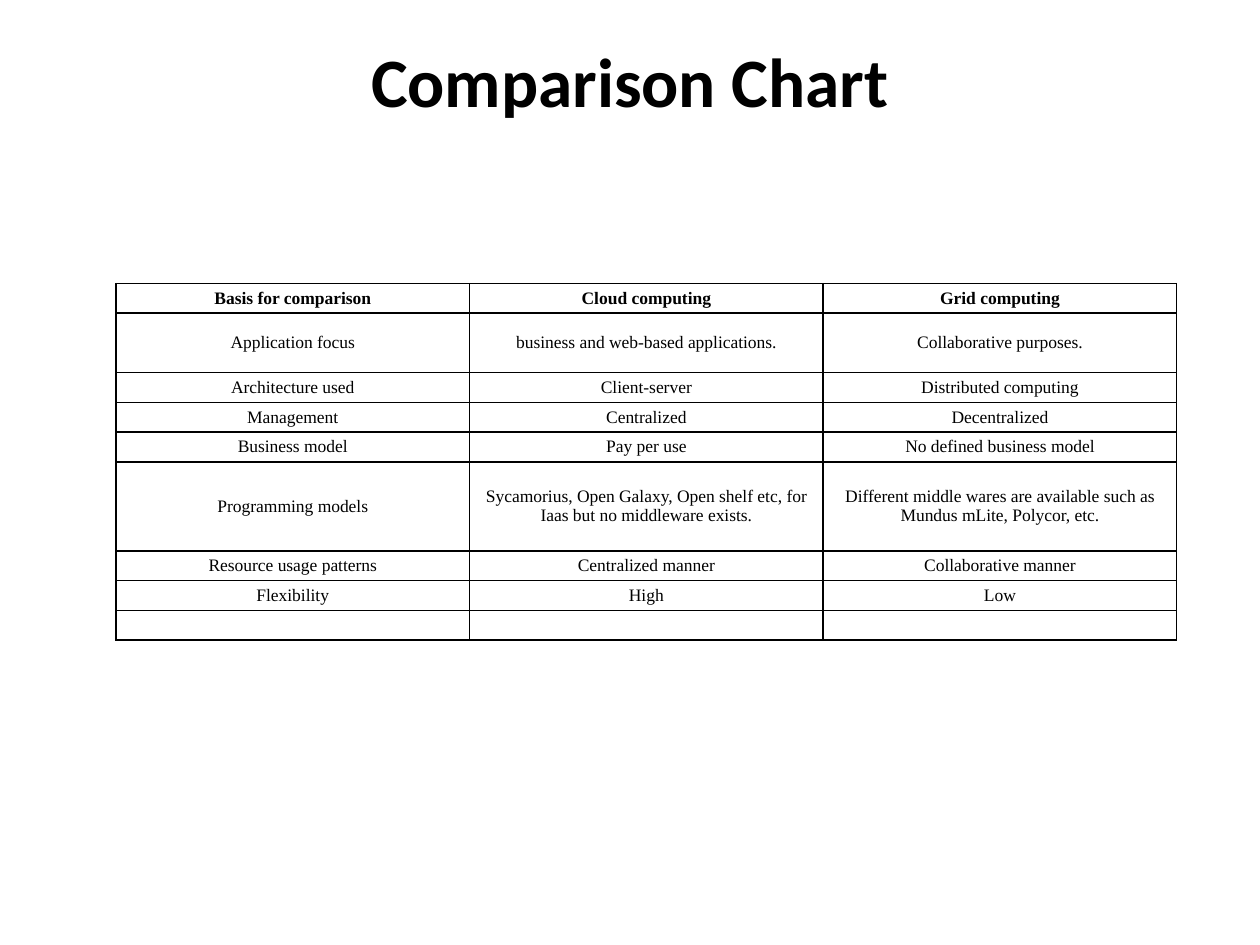
from dataclasses import dataclass

from lxml.etree import SubElement
from pptx import Presentation
from pptx.dml.color import RGBColor
from pptx.enum.text import MSO_ANCHOR, PP_ALIGN
from pptx.oxml.ns import qn
from pptx.slide import Slide
from pptx.table import _Cell
from pptx.util import Inches, Pt


@dataclass(frozen=True)
class Theme:
    ink: str = "000000"
    title_font: str = "Calibri"
    title_size: float = 39.6
    table_font: str = "Times New Roman"
    table_size: float = 10
    border: float = 1


@dataclass(frozen=True)
class Row:
    cells: tuple[str, str, str]
    units: int = 1  # height in units of a single-line row
    bold: bool = False


THEME = Theme()
TABLE_LEFT, TABLE_TOP, TABLE_WIDTH, TABLE_HEIGHT = 0.92, 2.25, 8.42, 2.83

ROWS = [
    Row(("Basis for comparison", "Cloud computing", "Grid computing"), bold=True),
    Row(("Application focus", "business and web-based applications.",
         "Collaborative purposes."), units=2),
    Row(("Architecture used", "Client-server", "Distributed computing")),
    Row(("Management", "Centralized", "Decentralized")),
    Row(("Business model", "Pay per use", "No defined business model")),
    Row(("Programming models",
         "Sycamorius, Open Galaxy, Open shelf etc, for Iaas but no middleware exists.",
         "Different middle wares are available such as Mundus mLite, Polycor, etc."),
        units=3),
    Row(("Resource usage patterns", "Centralized manner", "Collaborative manner")),
    Row(("Flexibility", "High", "Low")),
    Row(("", "", "")),
]


def add_title(s: Slide, text: str) -> None:
    sp = s.shapes.title
    sp.left, sp.top, sp.width, sp.height = map(Inches, (0.5, 0.3, 9, 1.25))
    tf = sp.text_frame
    tf.text = text
    tf.vertical_anchor = MSO_ANCHOR.TOP
    tf.margin_top = 0
    p = tf.paragraphs[0]
    p.alignment = PP_ALIGN.CENTER
    font = p.runs[0].font
    font.name, font.size, font.bold = THEME.title_font, Pt(THEME.title_size), True
    font.color.rgb = RGBColor.from_string(THEME.ink)


def set_borders(cell: _Cell) -> None:
    """Draw all four edges; they come before the fill in tcPr."""
    tc_pr = cell._tc.get_or_add_tcPr()
    for i, edge in enumerate(("a:lnL", "a:lnR", "a:lnT", "a:lnB")):
        ln = SubElement(tc_pr, qn(edge), w=str(Pt(THEME.border)))
        fill = SubElement(ln, qn("a:solidFill"))
        SubElement(fill, qn("a:srgbClr"), val=THEME.ink)
        tc_pr.insert(i, ln)


def fill_cell(cell: _Cell, text: str, bold: bool) -> None:
    cell.text = text
    cell.vertical_anchor = MSO_ANCHOR.MIDDLE
    cell.margin_left = cell.margin_right = Inches(0.07)
    cell.margin_top = cell.margin_bottom = 0
    cell.fill.background()
    set_borders(cell)
    p = cell.text_frame.paragraphs[0]
    p.alignment = PP_ALIGN.CENTER
    for r in p.runs:
        r.font.name, r.font.size = THEME.table_font, Pt(THEME.table_size)
        r.font.bold = bold
        r.font.color.rgb = RGBColor.from_string(THEME.ink)
    if not text:  # keeps an empty row at its single-line height
        SubElement(p._p, qn("a:endParaRPr"), sz=str(int(THEME.table_size * 100)))


def add_comparison(s: Slide, rows: list[Row]) -> None:
    n_cols = len(rows[0].cells)
    table = s.shapes.add_table(
        len(rows), n_cols, Inches(TABLE_LEFT), Inches(TABLE_TOP),
        Inches(TABLE_WIDTH), Inches(TABLE_HEIGHT)).table
    table.first_row = table.horz_banding = False
    for col in table.columns:
        col.width = Inches(TABLE_WIDTH / n_cols)
    unit = TABLE_HEIGHT / sum(row.units for row in rows)
    for i, row in enumerate(rows):
        table.rows[i].height = Inches(unit * row.units)
        for j, text in enumerate(row.cells):
            fill_cell(table.cell(i, j), text, row.bold)


def main() -> None:
    prs = Presentation()
    prs.slide_width, prs.slide_height = Inches(10), Inches(7.5)
    s = prs.slides.add_slide(prs.slide_layouts[5])  # title only
    add_title(s, "Comparison Chart")
    add_comparison(s, ROWS)
    prs.save("out.pptx")


if __name__ == "__main__":
    main()
